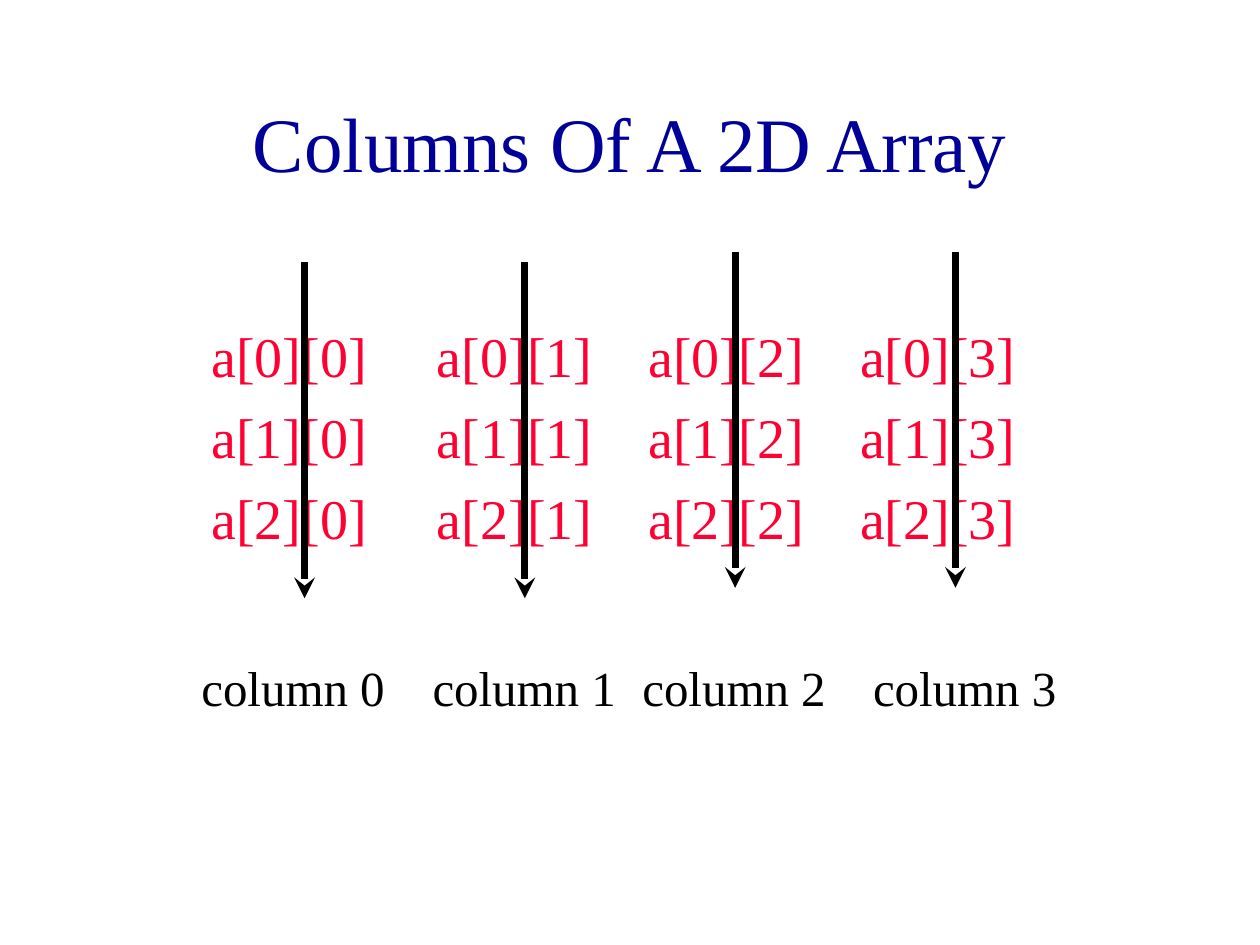
from dataclasses import dataclass

from lxml.etree import SubElement
from pptx import Presentation
from pptx.dml.color import RGBColor
from pptx.enum.shapes import MSO_CONNECTOR as Connector
from pptx.enum.text import MSO_ANCHOR as Anchor, PP_ALIGN as Align
from pptx.oxml.ns import qn
from pptx.util import Cm, Pt


@dataclass(frozen=True)
class Theme:
    font: str = "Times New Roman"
    title_color: RGBColor = RGBColor(0x00, 0x00, 0x99)
    cell_color: RGBColor = RGBColor(0xFF, 0x00, 0x33)
    ink: RGBColor = RGBColor(0x00, 0x00, 0x00)
    title_size: Pt = Pt(44)
    cell_size: Pt = Pt(32)
    label_size: Pt = Pt(28)
    arrow_width: Pt = Pt(4)


THEME = Theme()
ROWS = 3
TAB_STOPS = (4.55, 8.81, 13.08)
# Per column: arrow x, arrow top, label left
COLUMNS = (
    (6.14, 5.29, 3.81),
    (10.58, 5.29, 8.47),
    (14.82, 5.08, 12.7),
    (19.26, 5.08, 17.35),
)
ARROW_LENGTH = 6.77


def add_tab_stops(para, stops):
    tab_list = SubElement(para._p.get_or_add_pPr(), qn("a:tabLst"))
    for stop in stops:
        SubElement(tab_list, qn("a:tab"), pos=str(Cm(stop)), algn="l")


def add_text(page, lines, left, top, width, height, *, size, color,
             align=Align.LEFT, anchor=Anchor.TOP, gap=0, inset=0.25, tabs=()):
    """Add a text box with one paragraph per line; inset is the left margin."""
    box = page.shapes.add_textbox(Cm(left), Cm(top), Cm(width), Cm(height))
    frame = box.text_frame
    frame.word_wrap = True
    frame.vertical_anchor = anchor
    frame.margin_left = Cm(inset)
    for index, line in enumerate(lines):
        para = frame.paragraphs[0] if index == 0 else frame.add_paragraph()
        para.alignment = align
        if index:
            para.space_before = Pt(gap)
        if tabs:
            add_tab_stops(para, tabs)
        span = para.add_run()
        span.text = line
        span.font.name = THEME.font
        span.font.size = size
        span.font.color.rgb = color
    return box


def add_down_arrow(page, x, top):
    arrow = page.shapes.add_connector(
        Connector.STRAIGHT, Cm(x), Cm(top), Cm(x), Cm(top + ARROW_LENGTH))
    arrow.line.color.rgb = THEME.ink
    arrow.line.width = THEME.arrow_width
    SubElement(arrow.line._get_or_add_ln(), qn("a:tailEnd"), type="stealth")
    SubElement(arrow._element.spPr, qn("a:effectLst"))


def main():
    deck = Presentation()
    deck.slide_width, deck.slide_height = Cm(25.4), Cm(19.05)
    page = deck.slides.add_slide(deck.slide_layouts[6])

    add_text(page, ["Columns Of A 2D Array"], 1.9, 1.27, 21.59, 3.18,
             size=THEME.title_size, color=THEME.title_color,
             align=Align.CENTER, anchor=Anchor.MIDDLE)

    cells = ["\t".join(f"a[{row}][{column}]" for column in range(len(COLUMNS)))
             for row in range(ROWS)]
    add_text(page, cells, 1.07, 6.35, 22.66, 4.88,
             size=THEME.cell_size, color=THEME.cell_color,
             gap=8, inset=3.19, tabs=TAB_STOPS)

    for column, (arrow_x, arrow_top, label_left) in enumerate(COLUMNS):
        add_down_arrow(page, arrow_x, arrow_top)
        add_text(page, [f"column {column}"], label_left, 13.13, 4.24, 1.45,
                 size=THEME.label_size, color=THEME.ink)

    deck.save("out.pptx")


if __name__ == "__main__":
    main()
